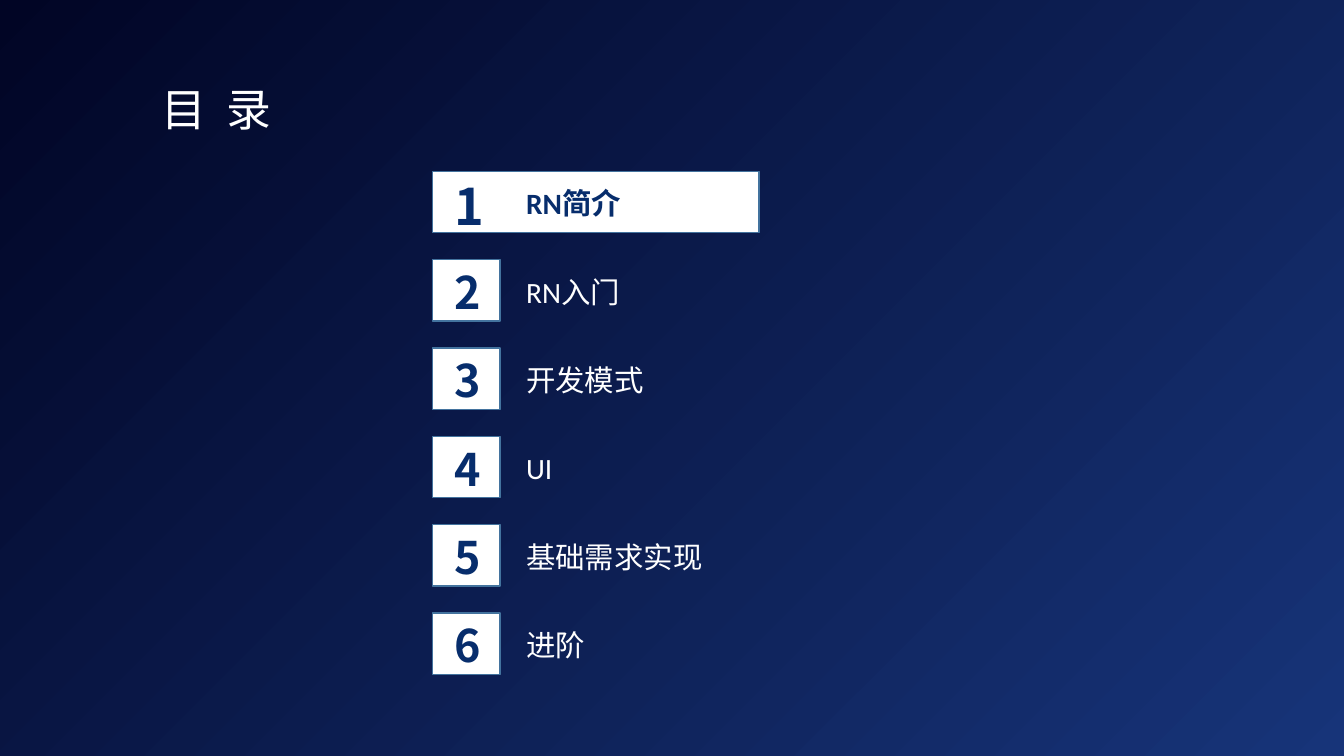
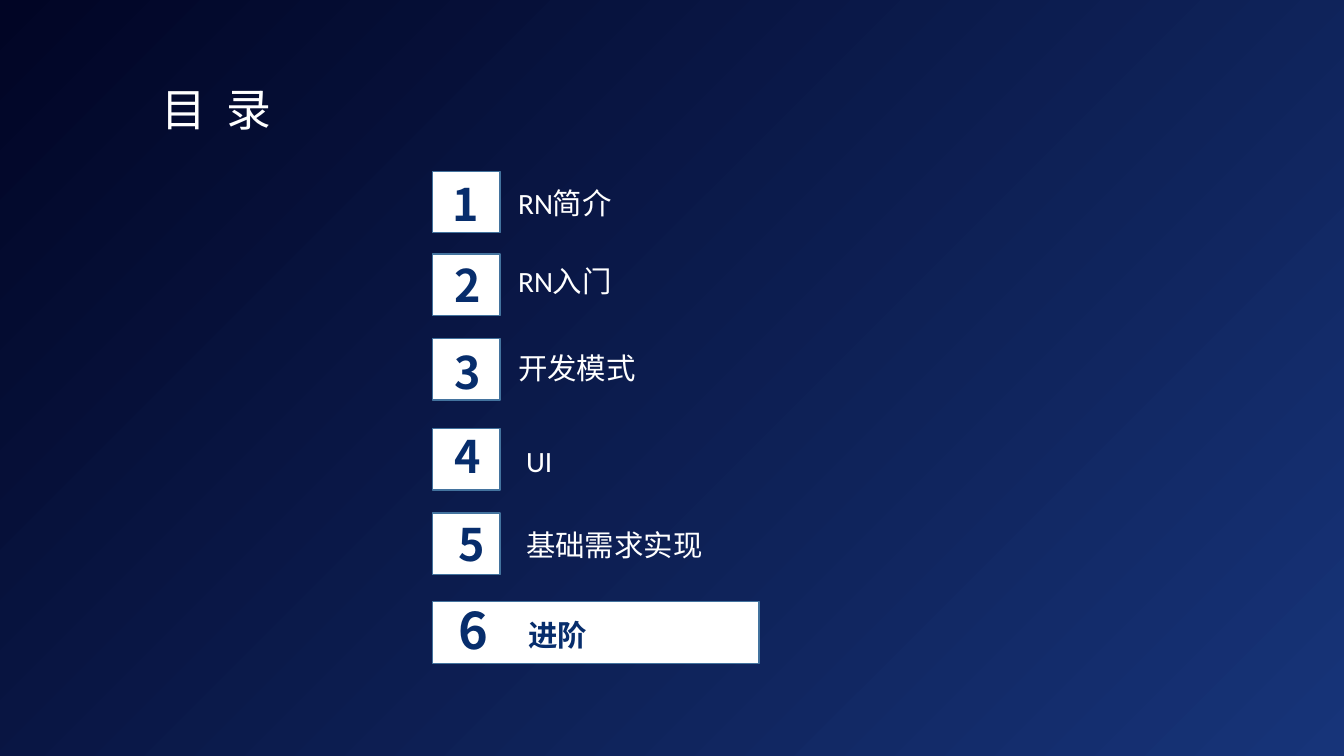
from dataclasses import dataclass

from lxml.etree import SubElement
from pptx import Presentation
from pptx.dml.color import RGBColor
from pptx.enum.shapes import MSO_SHAPE as SHAPE
from pptx.enum.text import MSO_ANCHOR as ANCHOR, MSO_AUTO_SIZE as AUTO_SIZE, PP_ALIGN as ALIGN
from pptx.oxml.ns import qn
from pptx.util import Inches, Pt

WHITE, NAVY, OUTLINE = "FFFFFF", "072D6C", "43739E"
BACKGROUND = ("010525", "173479")
CJK, LATIN = "Noto Sans CJK SC", "Calibri"
TOPICS = ("RN简介", "RN入门", "开发模式", "UI", "基础需求实现", "进阶")
TITLE_ONLY = 5
BOX_LEFT, BOX_HEIGHT = 4.29, 0.61
BOX_WIDTH, CURRENT_WIDTH = 0.67, 3.24


@dataclass(frozen=True)
class Row:
    """Places of one agenda entry, in inches."""
    box_top: float
    number_top: float
    label_top: float
    number_left: float = 4.41
    label_left: float = 5.12


def even_row(i: int) -> Row:
    top = 1.7 + 0.876 * i
    return Row(top, top + 0.06, top + (0.13 if i else 0.03))


# Each agenda: index of the current topic, then its rows.
AGENDAS = (
    (0, [even_row(i) for i in range(len(TOPICS))]),
    (5, [
        Row(1.70, 1.76, 1.83, 4.39, 5.04),
        Row(2.52, 2.57, 2.60, label_left=5.04),
        Row(3.36, 3.43, 3.46, label_left=5.04),
        Row(4.25, 4.26, 4.39),
        Row(5.09, 5.14, 5.22, 4.45),
        Row(5.97, 5.96, 6.02, 4.45, 5.14),
    ]),
)


def rgb(color: str) -> RGBColor:
    return RGBColor.from_string(color)


def set_font(p, size: float, latin: str, color: str, bold: bool = False) -> None:
    f = p.font
    f.size, f.name, f.bold = Pt(size), latin, bold
    f.color.rgb = rgb(color)
    r_pr = p._p.pPr.find(qn("a:defRPr"))
    SubElement(r_pr, qn("a:ea")).set("typeface", CJK)


def add_text(slide, text: str, left: float, top: float, width: float, height: float,
             size: float, latin: str, color: str, bold: bool, anchor=ANCHOR.TOP) -> None:
    tf = slide.shapes.add_textbox(
        Inches(left), Inches(top), Inches(width), Inches(height)).text_frame
    tf.word_wrap, tf.vertical_anchor = True, anchor
    p = tf.paragraphs[0]
    p.text, p.line_spacing, p.space_before = text, 0.9, Pt(10)
    set_font(p, size, latin, color, bold)


def add_box(slide, top: float, width: float) -> None:
    sp = slide.shapes.add_shape(
        SHAPE.RECTANGLE, Inches(BOX_LEFT), Inches(top), Inches(width), Inches(BOX_HEIGHT))
    sp.shadow.inherit = False
    sp.fill.solid()
    sp.fill.fore_color.rgb = rgb(WHITE)
    sp.line.color.rgb = rgb(OUTLINE)
    sp.line.width = Pt(1)


def add_row(slide, number: int, topic: str, row: Row, current: bool) -> None:
    add_box(slide, row.box_top, CURRENT_WIDTH if current else BOX_WIDTH)
    add_text(slide, str(number), row.number_left, row.number_top, 0.34, 0.49,
             36 if current else 32, CJK, NAVY, True)
    width, height, color, anchor = (
        (3.09, 0.6, NAVY, ANCHOR.MIDDLE) if current else (3.37, 0.35, WHITE, ANCHOR.TOP))
    add_text(slide, topic, row.label_left, row.label_top, width, height,
             21, LATIN, color, current, anchor)


def set_title(slide, text: str) -> None:
    sp = slide.shapes.title
    sp.left, sp.top, sp.width, sp.height = map(Inches, (1.5, 0.76, 1.6, 0.64))
    tf = sp.text_frame
    tf.auto_size, tf.vertical_anchor = AUTO_SIZE.SHAPE_TO_FIT_TEXT, ANCHOR.TOP
    p = tf.paragraphs[0]
    p.text, p.alignment = text, ALIGN.LEFT
    set_font(p, 32, CJK, WHITE)
    p._p.pPr.find(qn("a:defRPr")).set("spc", "360")


def set_background(master) -> None:
    fill = master.background.fill
    fill.gradient()
    fill.gradient_angle = 315
    for stop, color, position in zip(fill.gradient_stops, BACKGROUND, (0, 1)):
        stop.color.rgb, stop.position = rgb(color), position


def main() -> None:
    prs = Presentation()
    prs.slide_width, prs.slide_height = Inches(13.33), Inches(7.5)
    set_background(prs.slide_master)
    for current, rows in AGENDAS:
        slide = prs.slides.add_slide(prs.slide_layouts[TITLE_ONLY])
        set_title(slide, "目 录")
        for i, (topic, row) in enumerate(zip(TOPICS, rows)):
            add_row(slide, i + 1, topic, row, i == current)
    prs.save("out.pptx")


if __name__ == "__main__":
    main()
